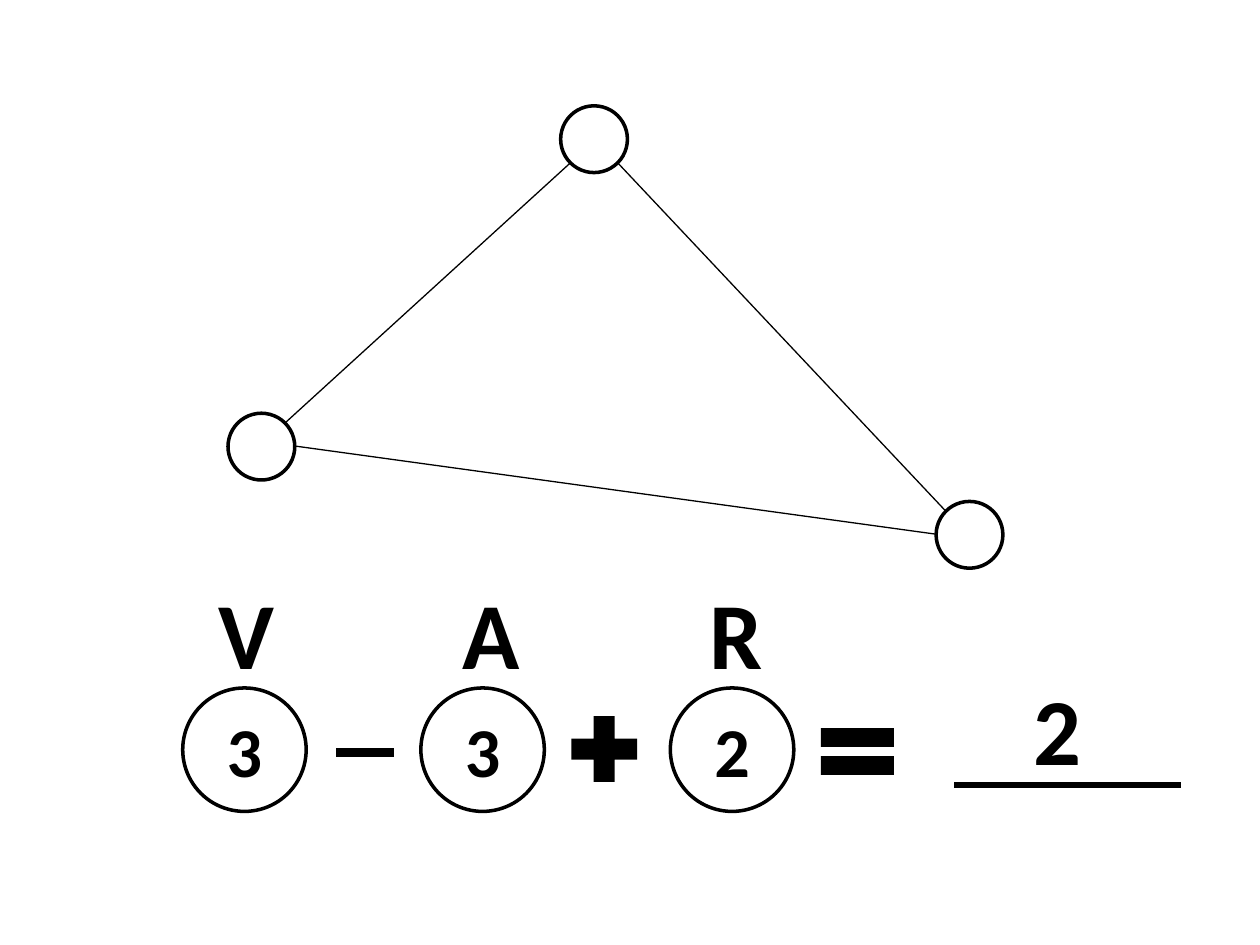
from lxml import etree
from pptx import Presentation
from pptx.dml.color import RGBColor
from pptx.enum import shapes, text
from pptx.oxml.ns import qn
from pptx.util import Inches, Pt

COLORS = {"ink": "000000"}
INK = RGBColor.from_string(COLORS["ink"])
SHAPE = shapes.MSO_SHAPE

deck = Presentation()
deck.slide_width, deck.slide_height = Inches(10), Inches(7.5)
page = deck.slides.add_slide(deck.slide_layouts[6])


def add_line(start, end, weight):
    line = page.shapes.add_connector(
        shapes.MSO_CONNECTOR.STRAIGHT, *[Inches(value) for value in start + end])
    line.line.color.rgb = INK
    line.line.width = Pt(weight)
    etree.SubElement(line._element.spPr, qn("a:effectLst"))


def write(box, wording, size):
    frame = box.text_frame
    frame.word_wrap = True
    frame.vertical_anchor = text.MSO_ANCHOR.MIDDLE
    frame.text = wording
    para = frame.paragraphs[0]
    para.alignment = text.PP_ALIGN.CENTER
    font = para.runs[0].font
    font.name, font.size, font.bold = "Calibri", Pt(size), True
    font.color.rgb = INK


# Circles: three vertices of the graph, then three numbers of the formula
VERTEX, NUMBER = 0.53, 0.98
circles = [
    (4.45, 0.84, VERTEX, ""), (1.81, 3.28, VERTEX, ""), (7.43, 3.98, VERTEX, ""),
    (1.45, 5.46, NUMBER, "3"), (3.34, 5.46, NUMBER, "3"), (5.32, 5.46, NUMBER, "2"),
]
for left, top, size, number in circles:
    circle = page.shapes.add_shape(
        SHAPE.OVAL, Inches(left), Inches(top), Inches(size), Inches(size))
    circle.shadow.inherit = False
    circle.fill.background()
    circle.line.color.rgb = INK
    circle.line.width = Pt(2)
    if number:
        write(circle, number, 40)

# Edges of the graph
for start, end in [((2.27, 3.35), (4.53, 1.29)),
                   ((7.5, 4.05), (4.9, 1.29)),
                   ((7.43, 4.24), (2.34, 3.54))]:
    add_line(start, end, 0.75)

# Operators of the formula
for kind, *place in [(SHAPE.MATH_MINUS, 2.58, 5.82, 0.63, 0.31),
                     (SHAPE.MATH_PLUS, 4.44, 5.59, 0.71, 0.71),
                     (SHAPE.MATH_EQUAL, 6.41, 5.65, 0.79, 0.63)]:
    sign = page.shapes.add_shape(kind, *[Inches(value) for value in place])
    sign.shadow.inherit = False
    sign.fill.solid()
    sign.fill.fore_color.rgb = INK
    sign.line.fill.background()

# Answer line
add_line((9.37, 6.23), (7.57, 6.23), 3)

# Letters above the numbers, and the answer
for wording, left, top in [("V", 1.52, 4.51), ("A", 3.46, 4.51),
                           ("R", 5.41, 4.51), ("2", 7.96, 5.27)]:
    box = page.shapes.add_textbox(
        Inches(left), Inches(top), Inches(0.87), Inches(1.01))
    write(box, wording, 54)
    box.text_frame.auto_size = text.MSO_AUTO_SIZE.SHAPE_TO_FIT_TEXT

deck.save("out.pptx")
